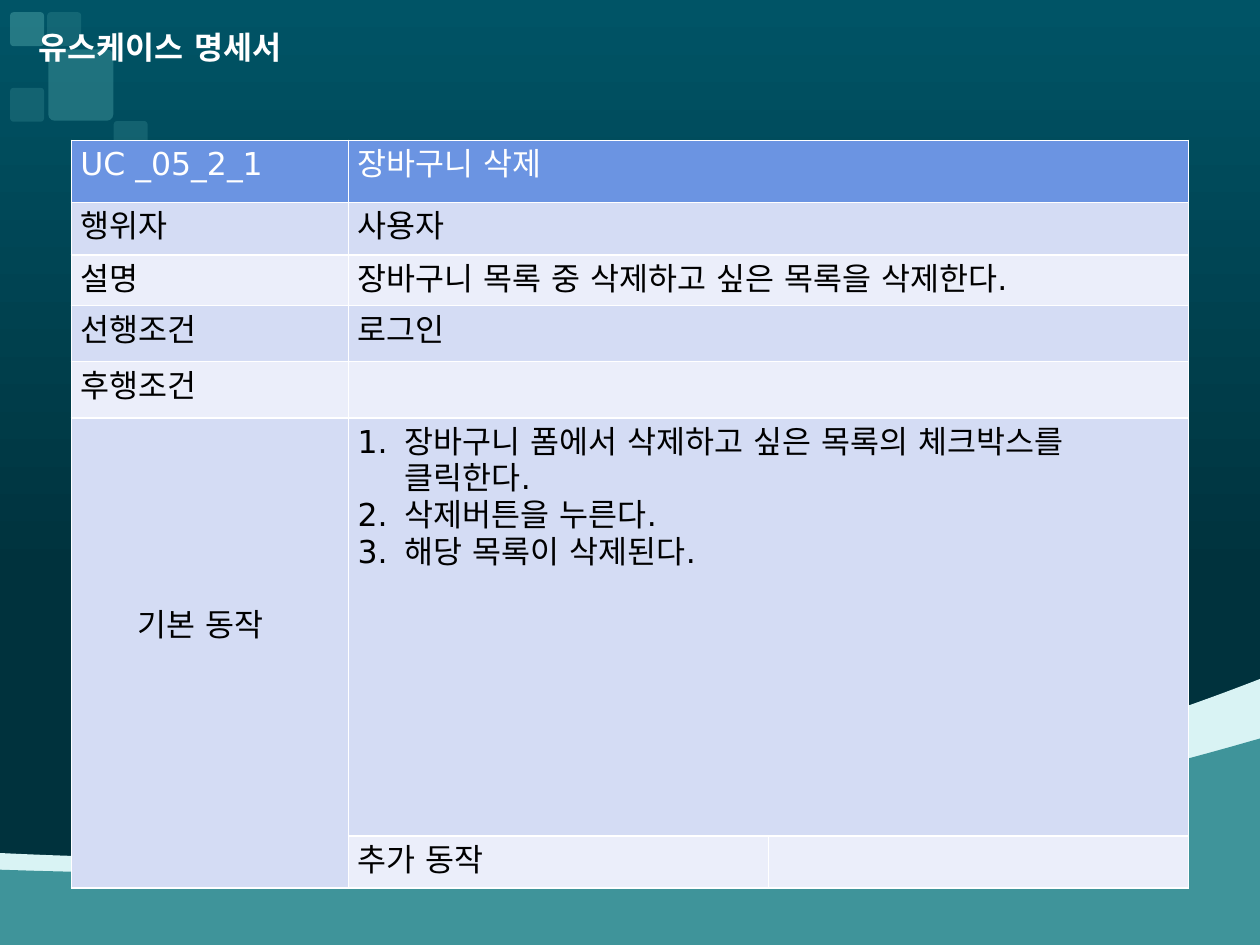
import pptx
import pptx.dml.color
import pptx.enum.shapes
import pptx.enum.text
import pptx.oxml
import pptx.oxml.ns
import pptx.util
from lxml import etree

Pt = pptx.util.Pt
Shape = pptx.enum.shapes.MSO_SHAPE
FONT = "DejaVu Sans"
WHITE, BLACK = "FFFFFF", "000000"
HEADER, DARK_BAND, LIGHT_BAND = "6B94E2", "D4DCF4", "EBEEFA"
TEAL, MIST, DEEP, NIGHT = "3F949A", "D9F3F4", "005466", "00323D"
WIDTH, HEIGHT = 720, 540

# Content
TITLE = "유스케이스 명세서"
ROWS = [  # label, value, height, fill, text colour
    ("UC _05_2_1", "장바구니 삭제", 35.5, HEADER, WHITE),
    ("행위자", "사용자", 30, DARK_BAND, BLACK),
    ("설명", "장바구니 목록 중 삭제하고 싶은 목록을 삭제한다.", 29, LIGHT_BAND, BLACK),
    ("선행조건", "로그인", 32, DARK_BAND, BLACK),
    ("후행조건", "", 32.2, LIGHT_BAND, BLACK),
    ("기본 동작", ["장바구니 폼에서 삭제하고 싶은 목록의 체크박스를 클릭한다.",
               "삭제버튼을 누른다.", "해당 목록이 삭제된다."], 239, DARK_BAND, BLACK),
    ("", "추가 동작", 29.6, LIGHT_BAND, BLACK),
]
COLUMNS = [158.4, 240, 240]
MAIN_ROW, LAST_ROW = 5, 6

# Waves: start point, then cubic curves as control, control, end
WAVES = [
    (MIST, (0, 487.5), [((116, 493), (211, 491), (375, 474.5)),
                        ((539, 457), (683, 402.5), (720, 388))]),
    (TEAL, (0, 497), [((177, 503), (320, 494), (443, 480)),
                      ((564, 467), (690.5, 430.5), (720, 422))]),
]
TILES = [  # left, top, width, height, opacity in percent
    (27, 7, 19.4, 19.4, 30), (5.8, 50.2, 19.4, 19.4, 30),
    (5.8, 7, 19.4, 19.4, 60), (65, 69.2, 19.4, 19.4, 30),
    (27.6, 28.2, 37.2, 40.8, 50),
]


def rgb(code):
    return pptx.dml.color.RGBColor.from_string(code)


def child(parent, tag, **attributes):
    return etree.SubElement(parent, pptx.oxml.ns.qn(tag), attributes)


def write(para, text, size=18, color=BLACK, bold=False, numbered=False):
    span = para.add_run()
    span.text = text
    span.font.name, span.font.size, span.font.bold = FONT, Pt(size), bold
    span.font.color.rgb = rgb(color)
    child(span.font._element, "a:ea", typeface=FONT)
    if numbered:
        properties = para._p.get_or_add_pPr()
        properties.set("marL", str(Pt(27)))
        properties.set("indent", str(-Pt(27)))
        child(properties, "a:buFont", typeface="+mj-lt")
        child(properties, "a:buAutoNum", type="arabicPeriod")


def paint(shape, color, opacity=100):
    shape.shadow.inherit = False
    shape.line.fill.background()
    shape.fill.solid()
    shape.fill.fore_color.rgb = rgb(color)
    if opacity < 100:
        tint = shape.fill._xPr.find(".//" + pptx.oxml.ns.qn("a:srgbClr"))
        child(tint, "a:alpha", val=str(opacity * 1000))


def curve_points(start, curves, steps=24):
    for first, second, end in curves:
        for step in range(1, steps + 1):
            t = step / steps
            weights = ((1 - t) ** 3, 3 * t * (1 - t) ** 2, 3 * t * t * (1 - t), t ** 3)
            yield tuple(sum(w * p[axis] for w, p in zip(weights, (start, first, second, end)))
                        for axis in (0, 1))
        start = end


def border(cell, width=1):
    properties = cell._tc.get_or_add_tcPr()
    for place, side in enumerate("LRTB"):
        line = etree.Element(pptx.oxml.ns.qn("a:ln" + side), w=str(Pt(width)))
        child(child(line, "a:solidFill"), "a:srgbClr", val=WHITE)
        properties.insert(place, line)


deck = pptx.Presentation()
deck.slide_width, deck.slide_height = Pt(WIDTH), Pt(HEIGHT)
page = deck.slides.add_slide(deck.slide_layouts[5])
page.background.fill.solid()
page.background.fill.fore_color.rgb = rgb(DEEP)

# Backdrop
backdrop = page.shapes.add_shape(Shape.RECTANGLE, 0, 0, Pt(WIDTH), Pt(HEIGHT))
paint(backdrop, DEEP)
backdrop.fill.gradient()
backdrop.fill.gradient_angle = 270
for stop, color, position in zip(backdrop.fill.gradient_stops, (DEEP, NIGHT), (0, 0.61)):
    stop.color.rgb = rgb(color)
    stop.position = position

for color, start, curves in WAVES:
    outline = page.shapes.build_freeform(Pt(start[0]), Pt(start[1]))
    corners = [(WIDTH, HEIGHT), (0, HEIGHT)]
    outline.add_line_segments([(Pt(x), Pt(y)) for x, y in
                               [*curve_points(start, curves), *corners]], close=True)
    paint(outline.convert_to_shape(), color)

for left, top, width, height, opacity in TILES:
    tile = page.shapes.add_shape(Shape.ROUNDED_RECTANGLE, Pt(left), Pt(top), Pt(width), Pt(height))
    tile.adjustments[0] = 0.1
    paint(tile, TEAL, opacity)

# Use case table
frame = page.shapes.add_table(len(ROWS), len(COLUMNS), Pt(40.8), Pt(80.2),
                              Pt(sum(COLUMNS)), Pt(sum(row[2] for row in ROWS)))
table = frame.table
for column, width in zip(table.columns, COLUMNS):
    column.width = Pt(width)
for index, (label, value, height, fill, color) in enumerate(ROWS):
    table.rows[index].height = Pt(height)
    for cell, content in zip(table.rows[index].cells, (label, value, "")):
        cell.margin_left = cell.margin_right = Pt(5.2)
        cell.margin_top, cell.margin_bottom = Pt(3.6), 0
        cell.fill.solid()
        cell.fill.fore_color.rgb = rgb(fill)
        border(cell)
        numbered = isinstance(content, list)
        for number, line in enumerate(content if numbered else [content]):
            para = cell.text_frame.paragraphs[0] if number == 0 else cell.text_frame.add_paragraph()
            if line:
                write(para, line, color=color, numbered=numbered)
    if index < LAST_ROW:
        table.cell(index, 1).merge(table.cell(index, 2))

main_label = table.cell(MAIN_ROW, 0)
main_label.merge(table.cell(LAST_ROW, 0))
main_label.margin_left, main_label.margin_top = Pt(37.8), Pt(108)

# Title, brought in front of the backdrop
title = page.shapes.title
title.left, title.top, title.width, title.height = Pt(15), Pt(12.2), Pt(387.4), Pt(29)
title.text_frame.word_wrap = True
title.text_frame.auto_size = pptx.enum.text.MSO_AUTO_SIZE.NONE
title.text_frame.vertical_anchor = pptx.enum.text.MSO_ANCHOR.MIDDLE
heading = title.text_frame.paragraphs[0]
heading.alignment = pptx.enum.text.PP_ALIGN.LEFT
write(heading, TITLE, color=WHITE, bold=True)
title.element.getparent().append(title.element)

deck.save("out.pptx")
